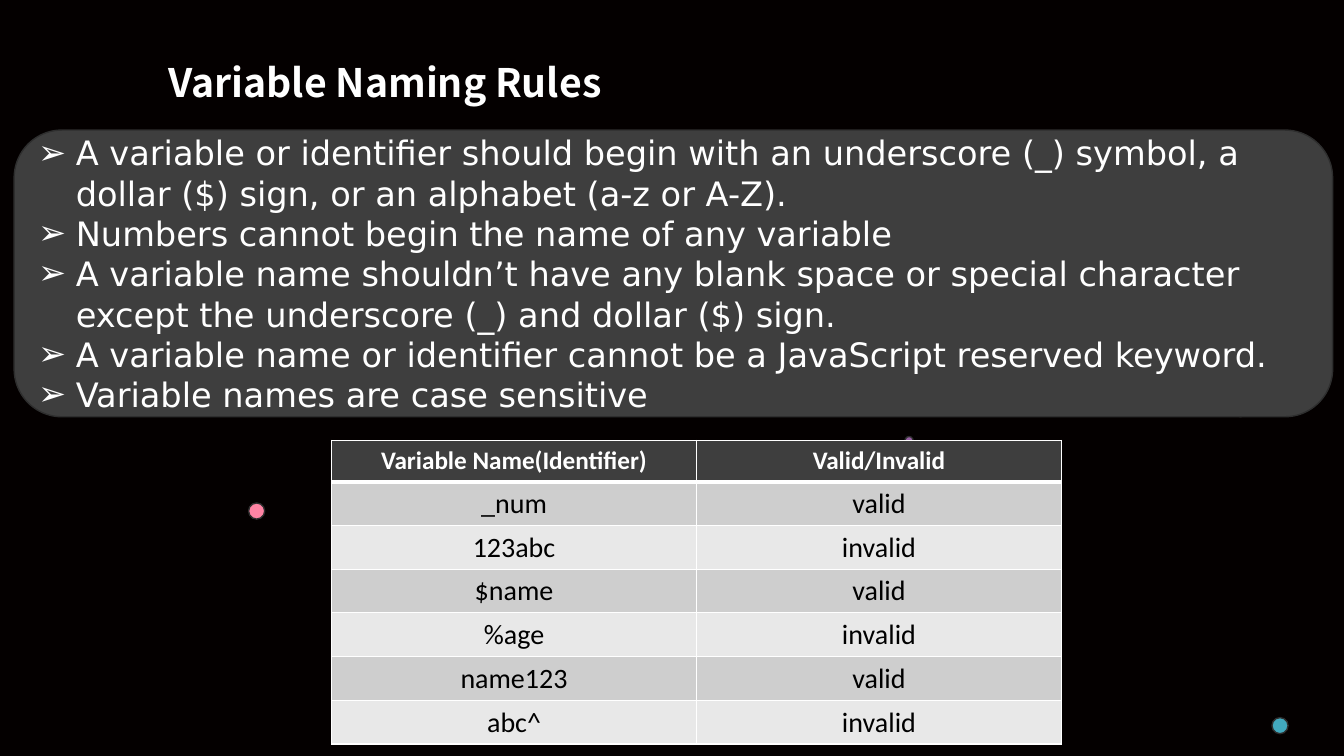
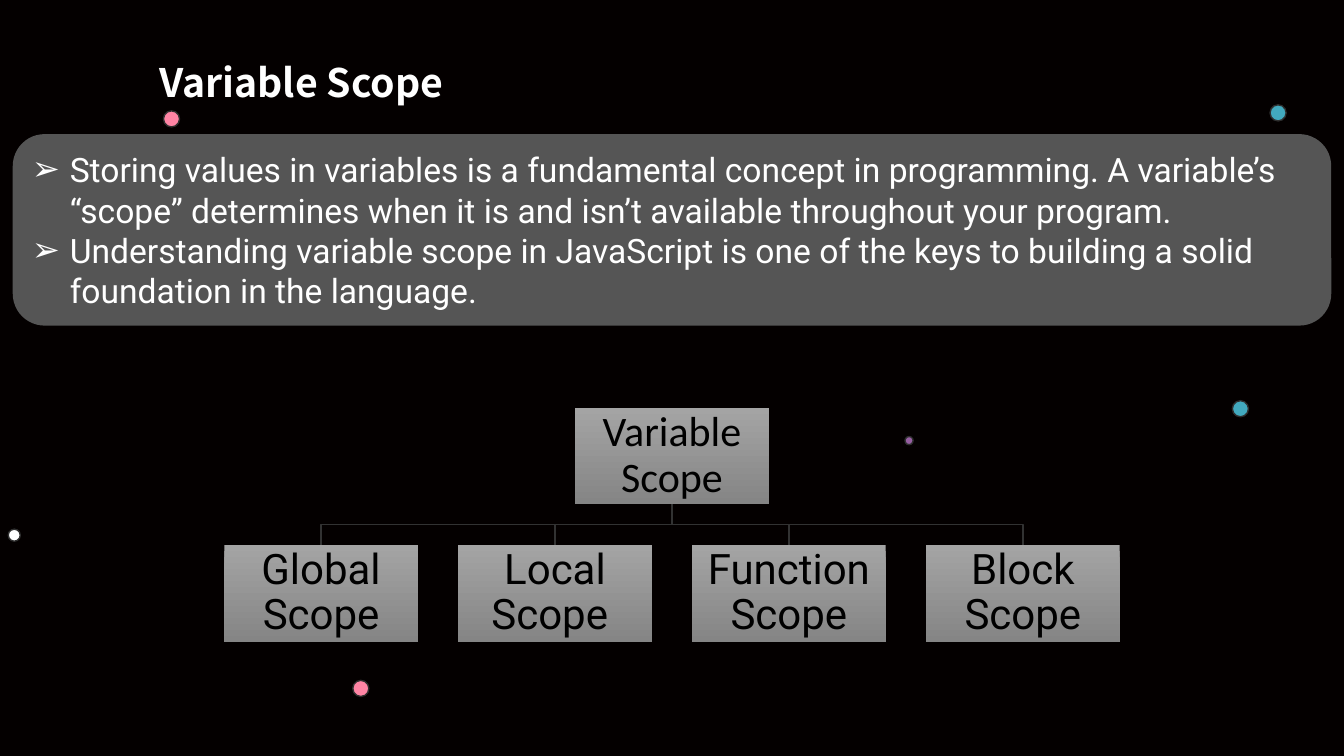
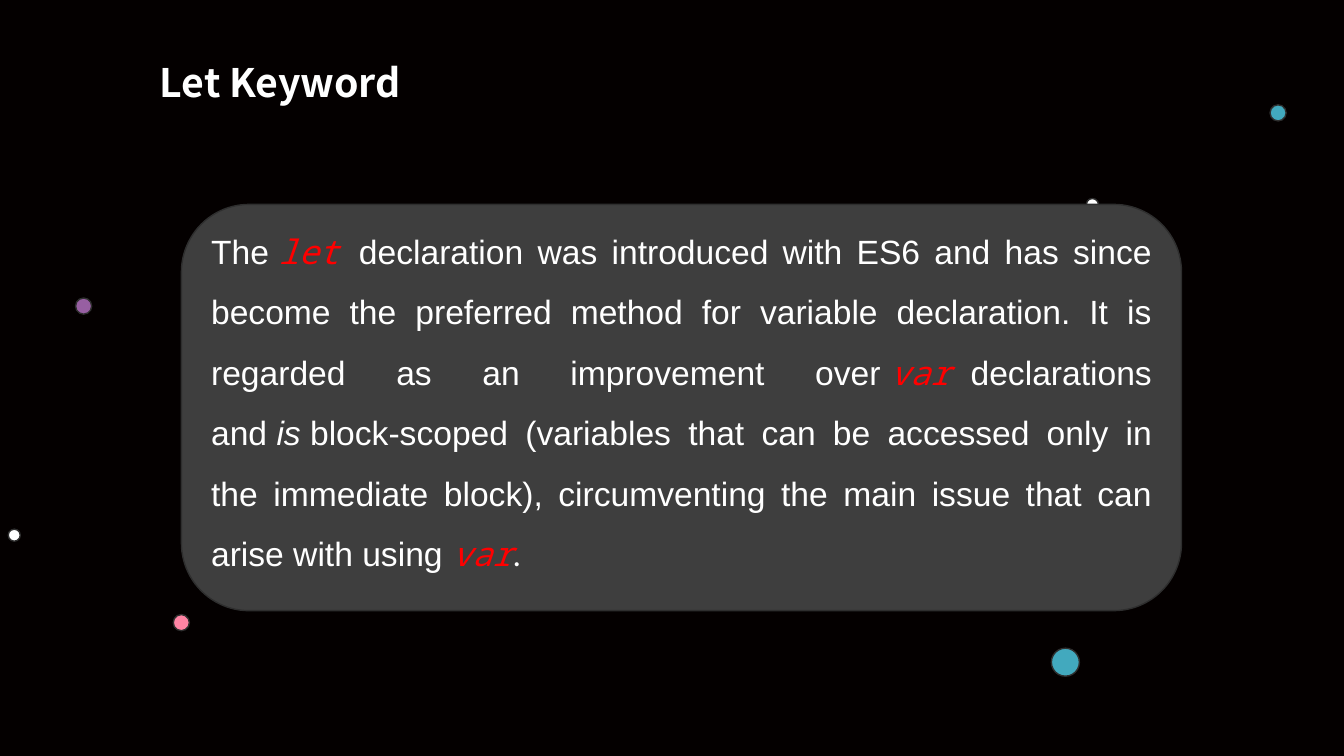
from lxml.etree import SubElement
from pptx import Presentation
from pptx.dml.color import RGBColor
from pptx.enum.shapes import MSO_SHAPE
from pptx.enum.text import MSO_ANCHOR, PP_ALIGN
from pptx.oxml.ns import qn
from pptx.util import Pt

HUES = {
    "back": "040000", "white": "FFFFFF", "black": "000000", "red": "FF0000",
    "teal": "42A9BE", "pink": "FF84A4", "plum": "975FA2",
    "edge": "2E2E2E", "panel": "3E3E3E", "ash": "555555", "link": "323232",
    "light": "A4A4A4", "dark": "858585", "odd": "CECECE", "even": "E8E8E8",
}
TINT = {name: RGBColor.from_string(code) for name, code in HUES.items()}
HARD = chr(160)


def write(para, text, face="Calibri", size=24, tint="white", bold=False,
          slant=False, align=PP_ALIGN.LEFT, lead=None, mark=None):
    para.alignment = align
    if lead:
        para.line_spacing = lead
    if mark:
        props = para._p.get_or_add_pPr()
        props.set("marL", str(Pt(27)))
        props.set("indent", str(Pt(-27)))
        SubElement(props, qn("a:buFont")).set("typeface", "DejaVu Sans")
        SubElement(props, qn("a:buChar")).set("char", mark)
    run = para.add_run()
    run.text = text
    font = run.font
    font.name, font.size, font.bold, font.italic = face, Pt(size), bold, slant
    font.color.rgb = TINT[tint]


def form(slide, kind, box, fill, edge=None):
    shape = slide.shapes.add_shape(kind, *[Pt(v) for v in box])
    shape.shadow.inherit = False
    shape.fill.solid()
    shape.fill.fore_color.rgb = TINT[fill]
    if edge:
        shape.line.color.rgb = TINT[edge]
        shape.line.width = Pt(1)
    else:
        shape.line.fill.background()
    shape.text_frame.word_wrap = True
    return shape


deck = Presentation()
deck.slide_width, deck.slide_height = Pt(960), Pt(540)
base = deck.slide_master.background.fill
base.solid()
base.fore_color.rgb = TINT["back"]

PAGES = [
    {
        "title": " Variable Naming Rules", "width": 465.8,
        "dots": [(349.9, 340.6, 20, "teal"), (908.6, 512.6, 11.5, "teal"),
                 (880.3, 286.2, 11.5, "teal"), (177.6, 359.3, 11.5, "pink"),
                 (347.8, 451.4, 11.5, "pink"), (646.4, 311.8, 5.8, "plum")],
        "box": (10.1, 92.9, 941.8, 204.8), "fill": "panel", "edge": "edge",
        "face": "DejaVu Sans",
        "rules": [
            "A variable or identifier should begin with an underscore (_) symbol, a dollar ($) sign, or an alphabet (a-z or A-Z).",
            "Numbers cannot begin the name of any variable",
            "A variable name shouldn’t have any blank space or special character except the underscore (_) and dollar ($) sign.",
            "A variable name or identifier cannot be a JavaScript reserved keyword.",
            "Variable names are case sensitive",
        ],
    },
    {
        "title": "Variable Scope", "width": 266.4,
        "dots": [(907.2, 74.9, 11.5, "teal"), (880.3, 286.2, 11.5, "teal"),
                 (116.8, 79.2, 11.5, "pink"), (252, 486, 11.5, "pink"),
                 (646.4, 311.8, 5.8, "plum"), (5.9, 378, 8.6, "white")],
        "box": (9.1, 95.8, 941.8, 136.8), "fill": "ash", "edge": None,
        "face": "Roboto",
        "rules": [
            "Storing values in variables is a fundamental concept in programming. A variable’s “scope” determines when it is and isn’t available throughout your program.",
            "Understanding variable scope in JavaScript is one of the keys to building a solid foundation in the language.",
        ],
    },
    {
        "title": "Let Keyword", "width": 190.8,
        "dots": [(751, 463, 20, "teal"), (907.2, 74.9, 11.5, "teal"),
                 (123.8, 439, 11.5, "pink"), (54, 212.9, 11.5, "plum"),
                 (5.9, 378, 8.6, "white"), (776, 141.8, 8.6, "white")],
        "box": (129.6, 146, 714.4, 290.2), "fill": "panel", "edge": "edge",
        "face": "Arial", "rules": [],
    },
]

slides, panels = [], []
for page in PAGES:
    slide = deck.slides.add_slide(deck.slide_layouts[6])
    for left, top, size, hue in page["dots"]:
        form(slide, MSO_SHAPE.OVAL, (left, top, size, size), hue, "edge")
    title = slide.shapes.add_textbox(Pt(107), Pt(38.2), Pt(page["width"]), Pt(41))
    title.text_frame.word_wrap = True
    write(title.text_frame.paragraphs[0], page["title"],
          face="Noto Sans CJK SC", size=28, bold=True)
    panel = form(slide, MSO_SHAPE.ROUNDED_RECTANGLE, page["box"],
                 page["fill"], page["edge"])
    frame = panel.text_frame
    for n, rule in enumerate(page["rules"]):
        para = frame.add_paragraph() if n else frame.paragraphs[0]
        write(para, rule, face=page["face"], mark="➢")
    slides.append(slide)
    panels.append(panel)

ROWS = [("Variable Name(Identifier)", "Valid/Invalid"), ("_num", "valid"),
        ("123abc", "invalid"), ("$name", "valid"), ("%age", "invalid"),
        ("name123", "valid"), ("abc^", "invalid")]
table = slides[0].shapes.add_table(
    len(ROWS), 2, Pt(236.9), Pt(314.6), Pt(521.3), Pt(206.5)).table
for r, row in enumerate(ROWS):
    table.rows[r].height = Pt(29.5)
    for c, text in enumerate(row):
        cell = table.cell(r, c)
        props = cell._tc.get_or_add_tcPr()
        for side in "LRTB":
            thick = 3 if (r, side) in [(0, "B"), (1, "T")] else 1
            line = SubElement(props, qn("a:ln" + side), w=str(Pt(thick)))
            fill = SubElement(line, qn("a:solidFill"))
            SubElement(fill, qn("a:srgbClr"), val=HUES["white"])
        cell.fill.solid()
        hue = "panel" if r == 0 else "odd" if r % 2 else "even"
        cell.fill.fore_color.rgb = TINT[hue]
        write(cell.text_frame.paragraphs[0], text, size=20 if r else 18,
              tint="black" if r else "white", bold=r == 0, align=PP_ALIGN.CENTER)

WIDE, HIGH, STEP = 138.3, 69.1, 167.1
MID, ROOT, LEAF = 480, 291.2, 389.4
KIDS = ["Global Scope", "Local Scope" + HARD, "Function Scope", "Block Scope"]
nodes = [("Variable Scope", MID, ROOT, "Calibri")]
for n, text in enumerate(KIDS):
    spot = MID + (n - 1.5) * STEP
    nodes.append((text, spot, LEAF, "Roboto"))
    foot = ROOT + HIGH
    bend = (foot + LEAF) / 2
    pen = slides[1].shapes.build_freeform(Pt(MID), Pt(foot))
    pen.add_line_segments(
        [(Pt(MID), Pt(bend)), (Pt(spot), Pt(bend)), (Pt(spot), Pt(LEAF))],
        close=False)
    link = pen.convert_to_shape()
    link.shadow.inherit = False
    link.fill.background()
    link.line.color.rgb = TINT["link"]
    link.line.width = Pt(1)
for text, spot, top, face in nodes:
    node = form(slides[1], MSO_SHAPE.RECTANGLE,
                (spot - WIDE / 2, top, WIDE, HIGH), "light")
    node.fill.gradient()
    node.fill.gradient_angle = 270
    for stop, hue in zip(node.fill.gradient_stops, ("light", "dark")):
        stop.color.rgb = TINT[hue]
    frame = node.text_frame
    frame.margin_left = frame.margin_right = Pt(1.5)
    frame.margin_top = frame.margin_bottom = Pt(1.5)
    write(frame.paragraphs[0], text, face=face, size=30, tint="black",
          align=PP_ALIGN.CENTER, lead=0.9)

CODE = {"face": "Noto Sans Mono", "tint": "red", "slant": True}
BODY = {"face": "Arial"}
RUNS = [
    ("The" + HARD, BODY), ("let" + HARD, CODE),
    ("declaration was introduced with ES6 and has since become the preferred method for variable declaration. It is regarded as an improvement over" + HARD, BODY),
    ("var" + HARD, CODE), ("declarations and" + HARD, BODY),
    ("is", {"face": "Arial", "slant": True}),
    (HARD + "block-scoped (variables that can be accessed only in the immediate block), circumventing the main issue that can arise with using" + HARD, BODY),
    ("var", CODE), (".", {}),
]
frame = panels[2].text_frame
frame.vertical_anchor = MSO_ANCHOR.MIDDLE
frame.margin_bottom = Pt(26)
for text, look in RUNS:
    write(frame.paragraphs[0], text, align=PP_ALIGN.JUSTIFY, lead=1.5, **look)

deck.save("out.pptx")
